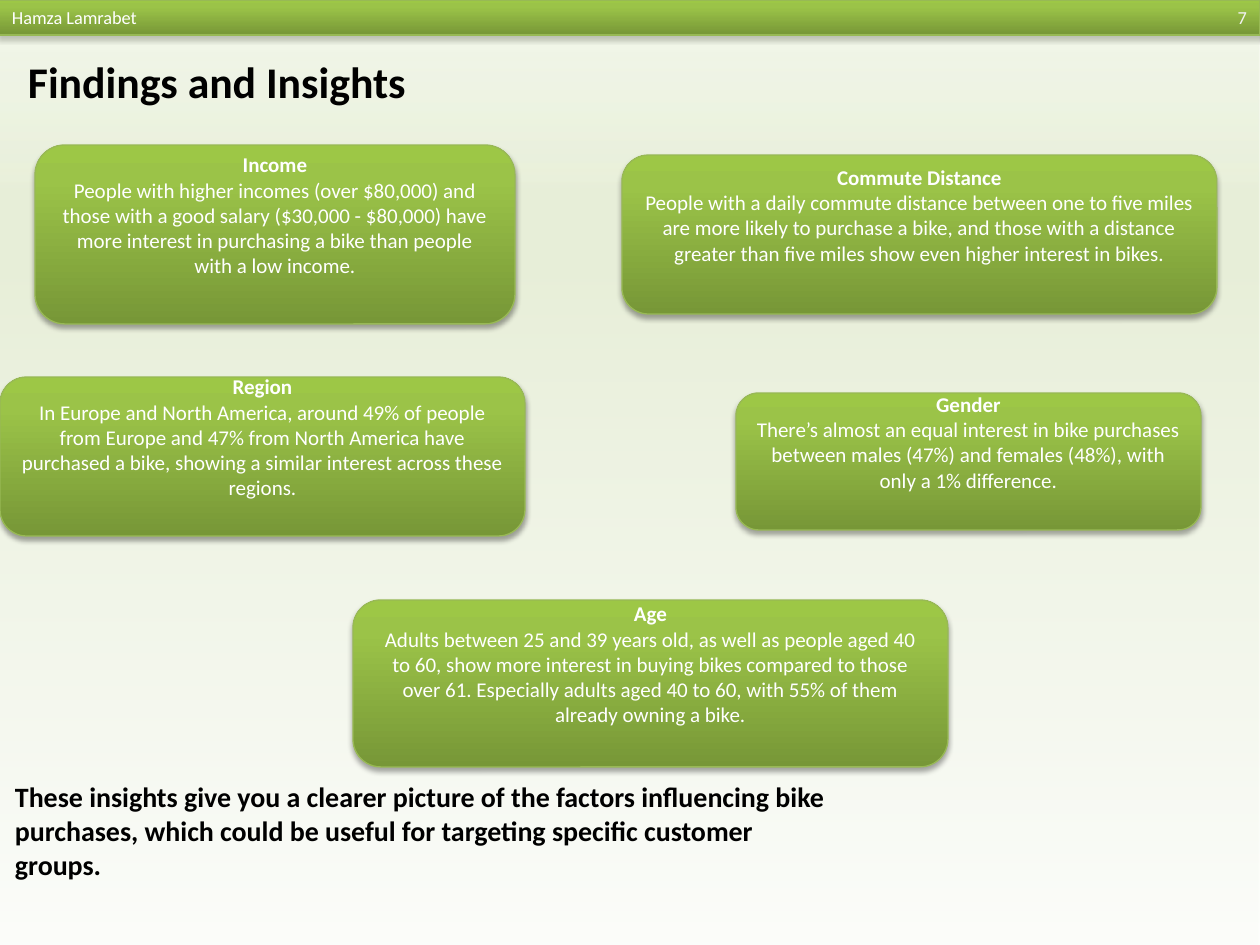
from lxml.etree import SubElement
from pptx import Presentation
from pptx.dml.color import RGBColor
from pptx.enum.shapes import MSO_SHAPE
from pptx.enum.text import MSO_ANCHOR, PP_ALIGN
from pptx.oxml.ns import qn
from pptx.util import Emu, Pt

PX = 914400 // 126  # EMU per px
FONT = "Calibri"
WHITE = RGBColor(0xFF, 0xFF, 0xFF)
PALE = RGBColor(0xF2, 0xF2, 0xF2)
BLACK = RGBColor(0x00, 0x00, 0x00)
EDGE = RGBColor(0x98, 0xB9, 0x55)
DARK_GREEN = RGBColor(0x77, 0x97, 0x37)
GREEN = RGBColor(0x9B, 0xC3, 0x48)
LIGHT_GREEN = RGBColor(0x9D, 0xC7, 0x46)
WASH_WHITE = RGBColor(0xFA, 0xFC, 0xF7)
WASH_GREEN = RGBColor(0xD2, 0xE0, 0xB4)
WASH_PALE = RGBColor(0xE1, 0xEB, 0xCD)

# Gradient stops: position %, colour, opacity %
GREEN_STOPS = [(0, DARK_GREEN, 100), (80, GREEN, 100), (100, LIGHT_GREEN, 100)]
WASH_STOPS = [(0, WASH_WHITE, 50), (74, WASH_GREEN, 50),
              (83, WASH_GREEN, 50), (100, WASH_PALE, 44)]

# Heading, finding, place (left, top, width, height)
FINDINGS = [
    ("Age", "Adults between 25 and 39 years old, as well as people aged 40 to 60, "
     "show more interest in buying bikes compared to those over 61. Especially "
     "adults aged 40 to 60, with 55% of them already owning a bike.",
     (353, 600, 595, 167)),
    ("Gender", "There’s almost an equal interest in bike purchases between males "
     "(47%) and females (48%), with only a 1% difference.",
     (736, 393, 465, 137)),
    ("Region", "In Europe and North America, around 49% of people from Europe and "
     "47% from North America have purchased a bike, showing a similar interest "
     "across these regions.",
     (0, 377, 525, 159)),
    ("Commute Distance", "People with a daily commute distance between one to five "
     "miles are more likely to purchase a bike, and those with a distance greater "
     "than five miles show even higher interest in bikes.",
     (622, 155, 595, 159)),
    ("Income", "People with higher incomes (over $80,000) and those with a good "
     "salary ($30,000 - $80,000) have more interest in purchasing a bike than "
     "people with a low income.",
     (35, 145, 480, 179)),
]


def px(values):
    return [Emu(v * PX) for v in values]


def add_color(parent, color, opacity):
    clr = SubElement(parent, qn("a:srgbClr"), val=str(color))
    if opacity < 100:
        SubElement(clr, qn("a:alpha"), val=str(opacity * 1000))


def set_gradient(s, stops):
    """Fill a shape with a gradient that runs from bottom to top."""
    s.fill.gradient()
    grad = s._element.spPr.find(qn("a:gradFill"))
    for child in list(grad):
        grad.remove(child)
    gs_list = SubElement(grad, qn("a:gsLst"))
    for pos, color, opacity in stops:
        add_color(SubElement(gs_list, qn("a:gs"), pos=str(pos * 1000)), color, opacity)
    SubElement(grad, qn("a:lin"), ang="16200000", scaled="0")


def add_panel(slide, kind, place, stops):
    s = slide.shapes.add_shape(kind, *px(place))
    s.shadow.inherit = False
    s.line.fill.background()
    set_gradient(s, stops)
    return s


def add_green_panel(slide, kind, place):
    s = add_panel(slide, kind, place, GREEN_STOPS)
    s.line.color.rgb = EDGE
    s.line.width = Pt(0.75)
    effects = s._element.spPr.find(qn("a:effectLst"))
    shadow = SubElement(effects, qn("a:outerShdw"), blurRad=str(Pt(3.1)),
                        dist=str(Pt(1.8)), dir="5400000", rotWithShape="0")
    add_color(shadow, BLACK, 35)
    return s


def write(s, lines, size, color, align=PP_ALIGN.LEFT, anchor=MSO_ANCHOR.TOP,
          insets=(13, 6, 13, 6)):
    """Write (text, bold) lines, one paragraph each."""
    tf = s.text_frame
    tf.word_wrap = True
    tf.vertical_anchor = anchor
    tf.margin_left, tf.margin_top, tf.margin_right, tf.margin_bottom = px(insets)
    for i, (text, bold) in enumerate(lines):
        p = tf.add_paragraph() if i else tf.paragraphs[0]
        p.alignment = align
        r = p.add_run()
        r.text = text
        r.font.name = FONT
        r.font.size = Pt(size)
        r.font.bold = bold
        r.font.color.rgb = color


def add_text(slide, place, text, size, color, bold=False, **layout):
    write(slide.shapes.add_textbox(*px(place)), [(text, bold)], size, color, **layout)


def add_finding(slide, heading, finding, place):
    s = add_green_panel(slide, MSO_SHAPE.ROUNDED_RECTANGLE, place)
    write(s, [(heading, True), (finding, False)], 12, WHITE, PP_ALIGN.CENTER,
          MSO_ANCHOR.MIDDLE, insets=(13, 6, 13, 45))


def main():
    prs = Presentation()
    prs.slide_width, prs.slide_height = px((1260, 945))
    slide = prs.slides.add_slide(prs.slide_layouts[6])

    # Header bar with author and page number
    bar = add_green_panel(slide, MSO_SHAPE.RECTANGLE, (-1, 0, 1261, 35))
    write(bar, [("Hamza Lamrabet", False)], 10.5, WHITE)
    add_text(slide, (1145, 0, 115, 35), "7", 10.5, PALE, align=PP_ALIGN.RIGHT)

    # Background wash
    add_panel(slide, MSO_SHAPE.RECTANGLE, (-8, 37, 1268, 908), WASH_STOPS)

    # Title and conclusion
    add_text(slide, (15, 55, 1131, 52), "Findings and Insights", 25, BLACK, True,
             anchor=MSO_ANCHOR.MIDDLE, insets=(13, 0, 13, 0))
    add_text(slide, (0, 694, 843, 183),
             "These insights give you a clearer picture of the factors influencing "
             "bike purchases, which could be useful for targeting specific customer "
             "groups.", 16, BLACK, True, insets=(15, 86, 13, 6))

    # Findings
    for heading, finding, place in FINDINGS:
        add_finding(slide, heading, finding, place)

    prs.save("out.pptx")


if __name__ == "__main__":
    main()
